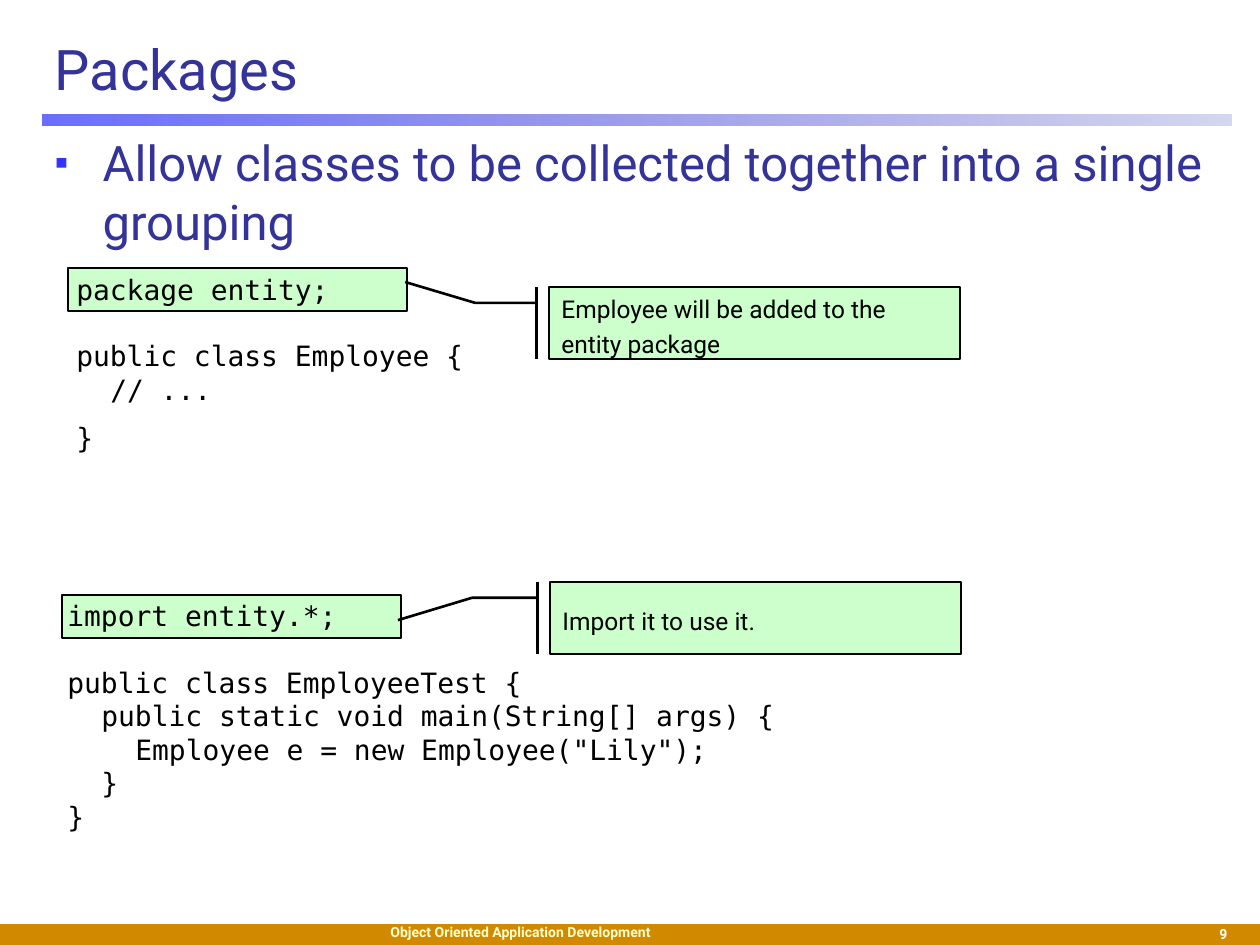
import pptx
import pptx.util
import lxml.etree
from pptx.dml.color import RGBColor
from pptx.enum.shapes import MSO_SHAPE
from pptx.enum.text import MSO_ANCHOR, MSO_AUTO_SIZE, PP_ALIGN
from pptx.oxml.ns import qn

# Content
TITLE = "Packages"
BULLET = "Allow classes to be collected together into a single grouping"
FOOTER = "Object Oriented Application Development"
PAGE = "9"

# Code lines: (indent level, points before, text)
EXAMPLES = [
    {
        "code": [
            (0, 0, "package entity;"),
            (0, 19, "public class Employee {"),
            (1, 0, "// ..."),
            (0, 8, "}"),
        ],
        "code_box": (64, 266, 668, 198),
        "highlight": (68, 268, 339, 43),
        "note": "Employee will be added to the entity package",
        "note_box": (549, 287, 411, 72),
        "leader": (0.22, -0.03, 0.22, -0.18, -0.07, -0.35),
    },
    {
        "code": [
            (0, 0, "import entity.*;"),
            (0, 19, "public class EmployeeTest {"),
            (1, 0, "public static void main(String[] args) {"),
            (2, 0, 'Employee e = new Employee("Lily");'),
            (1, 0, "}"),
            (0, 0, "}"),
        ],
        "code_box": (55, 592, 748, 248),
        "highlight": (62, 595, 339, 43),
        "note": "Import it to use it.",
        "note_box": (550, 582, 411, 72),
        "leader": (0.22, -0.03, 0.22, -0.19, 0.53, -0.37),
    },
]

COLORS = {
    "text": "333399", "bullet": "3333FF", "code": "000000", "box": "CCFFCC",
    "bar": "D18A00", "footer": "FFFFCC", "page": "FFFFFF",
    "rule_start": "464AFC", "rule_end": "3235B4",
}
SANS, MONO = "Roboto", "DejaVu Sans Mono"
CODE_INDENT = 34
SCALE = 914400 / 126


def px(n):
    return pptx.util.Emu(round(n * SCALE))


def rgb(name):
    return RGBColor.from_string(COLORS[name])


def place(s, box):
    s.left, s.top, s.width, s.height = map(px, box)


def add_run(p, text, size, color, font=SANS, bold=False):
    r = p.add_run()
    r.text = text
    r.font.size = pptx.util.Pt(size)
    r.font.name = font
    r.font.bold = bold
    r.font.color.rgb = rgb(color)


def add_box(kind, box, fill=None, line=None):
    s = slide.shapes.add_shape(kind, *map(px, box))
    s.shadow.inherit = False
    if fill:
        s.fill.solid()
        s.fill.fore_color.rgb = rgb(fill)
    if line:
        s.line.color.rgb = rgb("code")
        s.line.width = pptx.util.Pt(line)
    else:
        s.line.fill.background()
    return s


def add_text(box):
    tf = slide.shapes.add_textbox(*map(px, box)).text_frame
    tf.word_wrap = True
    return tf


def fill_placeholder(s, box, text, size, anchor):
    place(s, box)
    tf = s.text_frame
    tf.auto_size = MSO_AUTO_SIZE.NONE
    tf.vertical_anchor = anchor
    p = tf.paragraphs[0]
    p.alignment = PP_ALIGN.LEFT
    p.space_before = pptx.util.Pt(0)
    add_run(p, text, size, "text")
    return p


def set_bullet(p, char, indent):
    pPr = p._p.get_or_add_pPr()
    pPr.set("marL", str(px(indent)))
    pPr.set("indent", str(px(-indent)))
    clr = lxml.etree.SubElement(pPr, qn("a:buClr"))
    lxml.etree.SubElement(clr, qn("a:srgbClr"), val=COLORS["bullet"])
    lxml.etree.SubElement(pPr, qn("a:buSzPct"), val="80000")
    lxml.etree.SubElement(pPr, qn("a:buChar"), char=char)


prs = pptx.Presentation()
prs.slide_width, prs.slide_height = px(1260), px(945)
slide = prs.slides.add_slide(prs.slide_layouts[1])

# Title and bullet
fill_placeholder(slide.shapes.title, (42, 21, 1187, 95), TITLE, 32, MSO_ANCHOR.MIDDLE)
p = fill_placeholder(slide.placeholders[1], (42, 126, 1187, 766), BULLET, 28, MSO_ANCHOR.TOP)
set_bullet(p, "▪", 48)

# Footer bar and fading rule under the title
add_box(MSO_SHAPE.RECTANGLE, (0, 924, 1260, 21), "bar")
rule = add_box(MSO_SHAPE.RECTANGLE, (42, 115, 1189, 11))
rule.fill.gradient()
rule.fill.gradient_angle = 0
for stop, name in zip(rule.fill.gradient_stops, ("rule_start", "rule_end")):
    stop.color.rgb = rgb(name)
for clr, alpha in zip(rule._element.iter(qn("a:srgbClr")), ("80000", "20000")):
    lxml.etree.SubElement(clr, qn("a:alpha"), val=alpha)

# Footer text and page number
tf = add_text((378, 917, 504, 21))
add_run(tf.paragraphs[0], FOOTER, 8, "footer", bold=True)
tf = add_text((1061, 901, 179, 42))
tf.vertical_anchor = MSO_ANCHOR.BOTTOM
tf.margin_bottom = px(1)
tf.paragraphs[0].alignment = PP_ALIGN.RIGHT
add_run(tf.paragraphs[0], PAGE, 8, "page", bold=True)

# Code examples, each with a highlighted first line and a callout
for ex in EXAMPLES:
    add_box(MSO_SHAPE.RECTANGLE, ex["highlight"], "box", 1)

    tf = add_text(ex["code_box"])
    for i, (level, before, text) in enumerate(ex["code"]):
        p = tf.add_paragraph() if i else tf.paragraphs[0]
        p.space_before = pptx.util.Pt(before)
        p._p.get_or_add_pPr().set("marL", str(px(level * CODE_INDENT)))
        add_run(p, text, 16, "code", MONO)

    s = add_box(MSO_SHAPE.LINE_CALLOUT_2_BORDER_AND_ACCENT_BAR, ex["note_box"], "box", 1.5)
    for i, value in enumerate(ex["leader"]):
        s.adjustments[i] = value
    tf = s.text_frame
    tf.word_wrap = True
    tf.vertical_anchor = MSO_ANCHOR.MIDDLE
    p = tf.paragraphs[0]
    p.alignment = PP_ALIGN.LEFT
    p.line_spacing = pptx.util.Pt(20.5)
    add_run(p, ex["note"], 14, "code")

prs.save("out.pptx")
